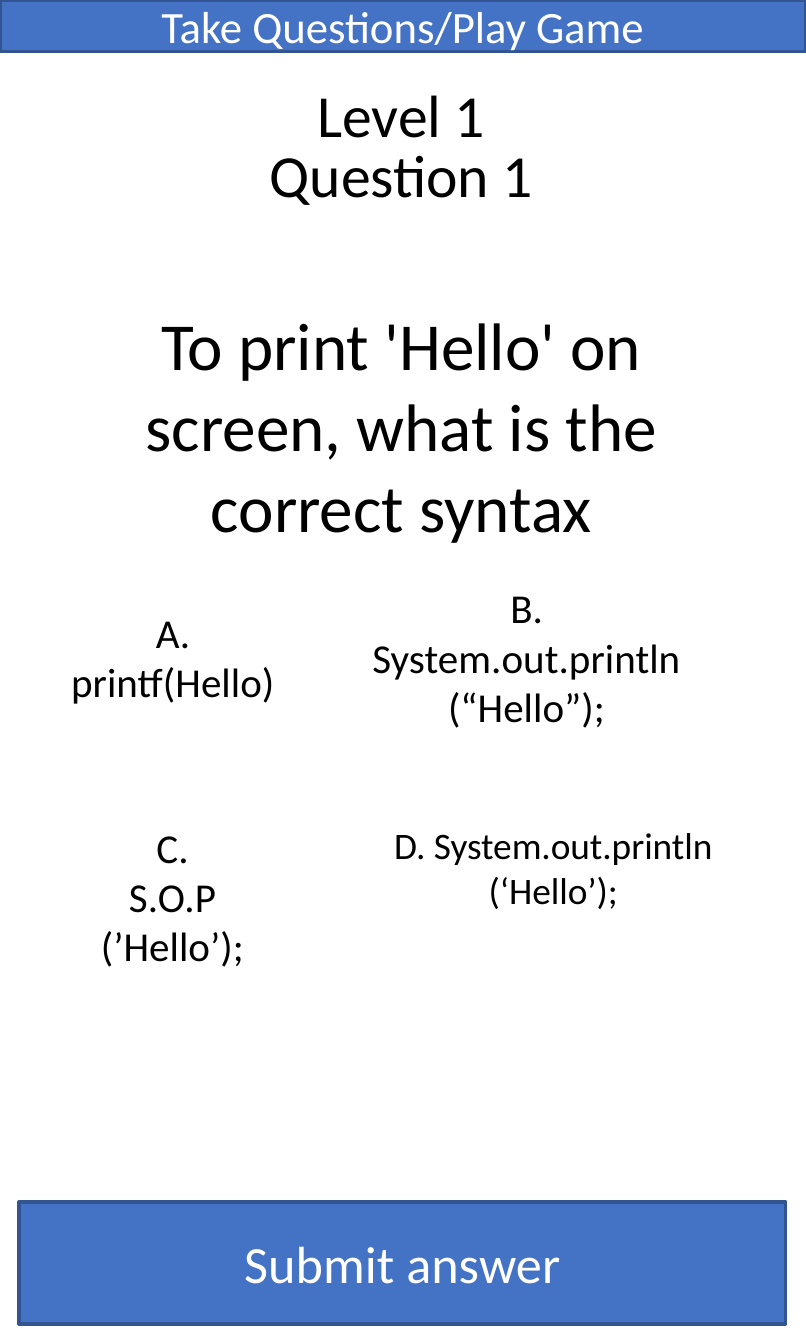
from pptx import Presentation
from pptx.dml.color import RGBColor
from pptx.enum import shapes, text
from pptx.util import Pt

# Content: lines, font size, (left, top, width, height) in points
FONT = "Calibri"
BLUE, BORDER, WHITE, BLACK = "4472C4", "325491", "FFFFFF", "000000"
PAGE_WIDTH, PAGE_HEIGHT = 216, 360
HEADING_LEFT, HEADING_WIDTH = 30.2, 154.8

bars = [
    (["Take Questions/Play Game"], 12, (0, 0, PAGE_WIDTH, 13.8)),
    (["Submit answer"], 14, (5.2, 322, 205.4, 32.7)),
]
headings = [
    (["Level 1"], 16, 17.3, 26.6),
    (["Question 1"], 16, 33.3, 26.6),
    (["To print 'Hello' on screen, what is the correct syntax"], 18, 77.8, 72.7),
]
answers = [
    (["A. printf(Hello)"], 11, (7.9, 159.2, 77, 33.9)),
    (["B.", "System.out.println", "(“Hello”);"], 11, (81.4, 152.6, 119.5, 47.5)),
    (["C.", "S.O.P", "(’Hello’);"], 11, (17.1, 216.7, 58.3, 47.5)),
    (["D. System.out.println", "(‘Hello’);"], 10, (97.9, 216.7, 100.8, 55.4)),
]


def color(value):
    return RGBColor.from_string(value)


def write(shape, lines, size, ink):
    frame = shape.text_frame
    frame.word_wrap = True
    frame.text = "\n".join(lines)
    for para in frame.paragraphs:
        para.alignment = text.PP_ALIGN.CENTER
        para.font.name = FONT
        para.font.size = Pt(size)
        para.font.color.rgb = color(ink)


def add_bar(page, lines, size, area):
    bar = page.shapes.add_shape(shapes.MSO_SHAPE.RECTANGLE, *map(Pt, area))
    bar.shadow.inherit = False
    bar.fill.solid()
    bar.fill.fore_color.rgb = color(BLUE)
    bar.line.color.rgb = color(BORDER)
    bar.line.width = Pt(1)
    bar.text_frame.vertical_anchor = text.MSO_ANCHOR.MIDDLE
    write(bar, lines, size, WHITE)


def add_label(page, lines, size, area):
    box = page.shapes.add_textbox(*map(Pt, area))
    write(box, lines, size, BLACK)


deck = Presentation()
deck.slide_width, deck.slide_height = Pt(PAGE_WIDTH), Pt(PAGE_HEIGHT)
page = deck.slides.add_slide(deck.slide_layouts[6])

# Title bar and submit button
for lines, size, area in bars:
    add_bar(page, lines, size, area)

# Level, question number and question share one column
for lines, size, top, height in headings:
    add_label(page, lines, size, (HEADING_LEFT, top, HEADING_WIDTH, height))

# Answer choices
for lines, size, area in answers:
    add_label(page, lines, size, area)

deck.save("out.pptx")
